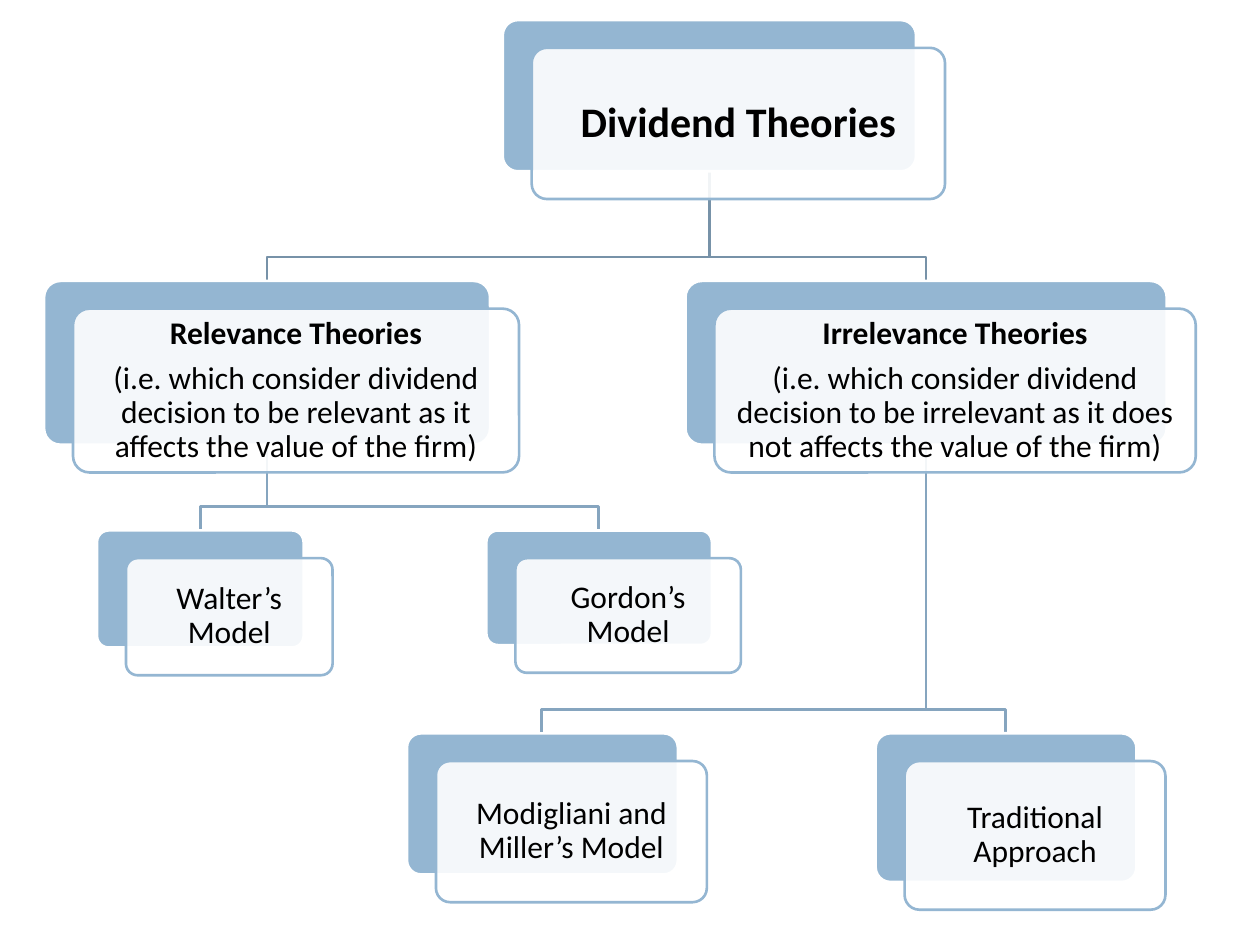
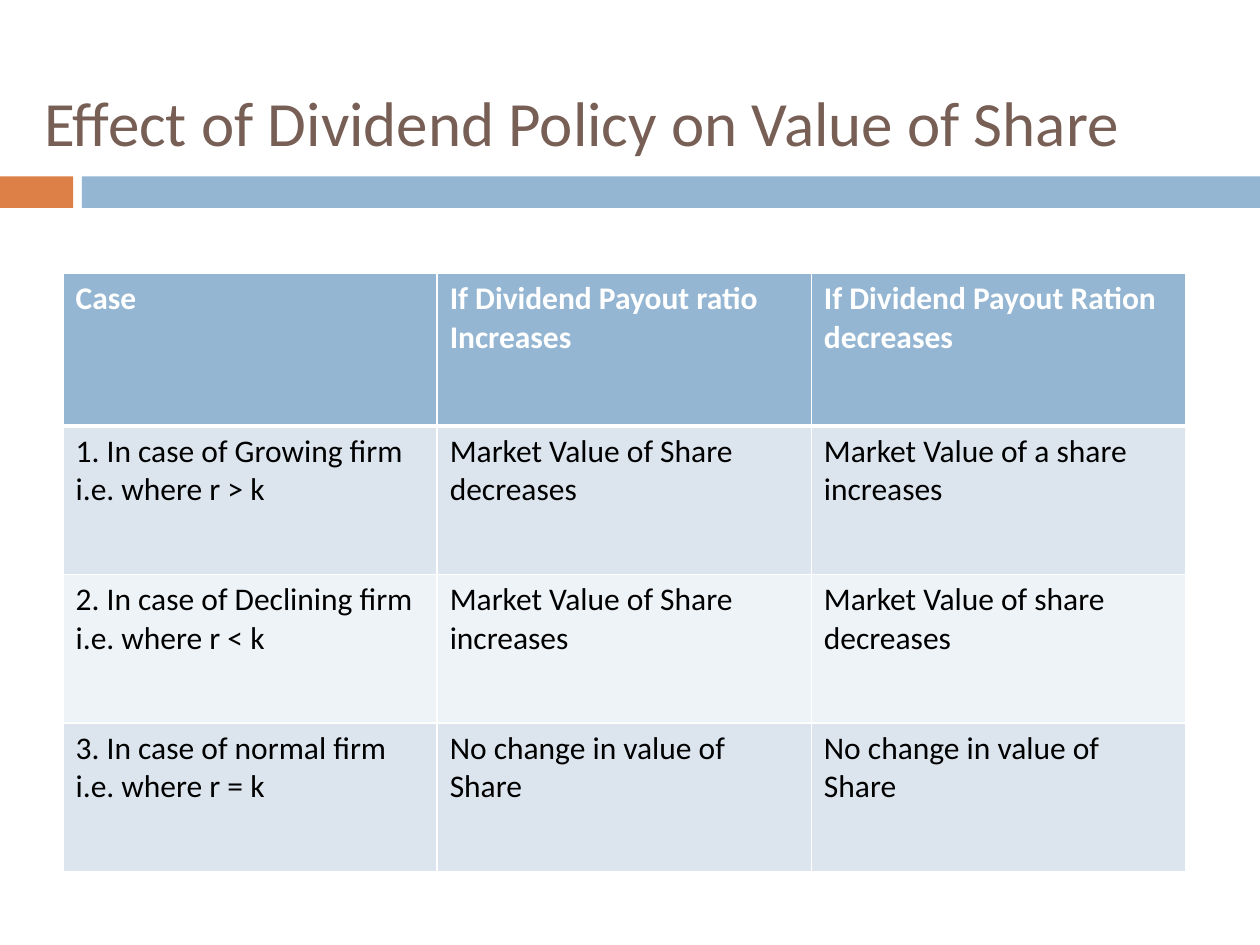
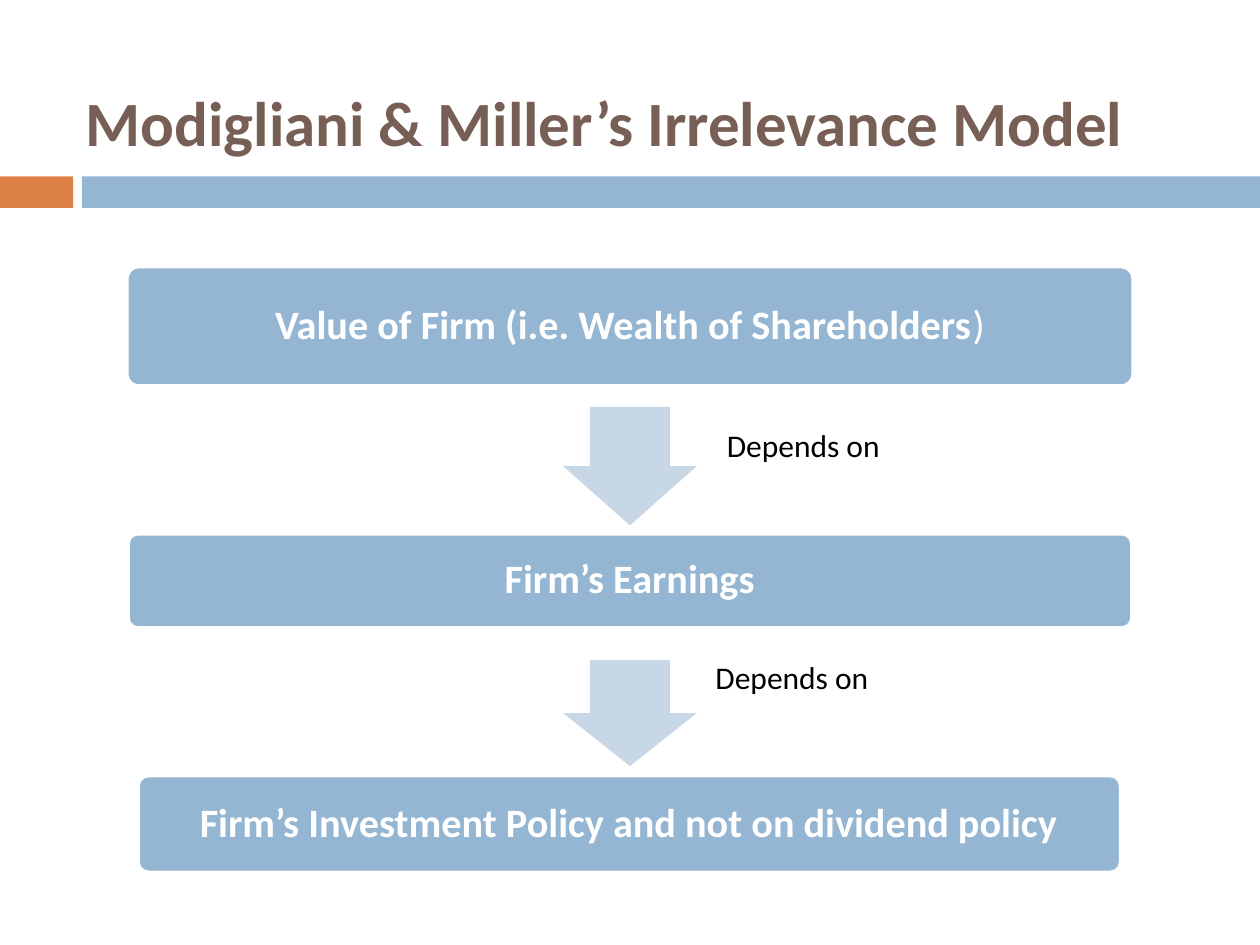
from dataclasses import dataclass

from lxml.etree import SubElement
from pptx import Presentation
from pptx.dml.color import RGBColor as Rgb
from pptx.enum.shapes import MSO_SHAPE as Shape
from pptx.enum.text import MSO_ANCHOR as Anchor, MSO_AUTO_SIZE as AutoSize, PP_ALIGN as Align
from pptx.oxml.ns import qn
from pptx.util import Pt

PX = 9144  # EMU per px, 100 px to the inch


@dataclass(frozen=True)
class Theme:
    font: str = "Calibri"
    black: str = "000000"
    white: str = "FFFFFF"
    blue: str = "94B6D2"
    orange: str = "DD8047"
    brown: str = "775F55"
    arrow: str = "C8D7E5"
    branch: str = "7792A8"
    twig: str = "86A5BF"
    odd_row: str = "DCE5EE"
    even_row: str = "EEF3F7"
    title: int = 36
    root: int = 24
    step: int = 23
    body: int = 18
    outline: float = 1.5


def apply(target, values):
    for name, value in values.items():
        setattr(target, name, value)


def emu(*lengths):
    return [length * PX for length in lengths]


class SlideBuilder:
    def __init__(self, deck, theme):
        self.deck, self.theme, self.page = deck, theme, None

    def new_page(self, layout):
        self.page = self.deck.slides.add_slide(self.deck.slide_layouts[layout])

    def titled_page(self, title, at, bold=False):
        """Start a page with the title over the two-colour band."""
        self.new_page(5)
        self.shape(Shape.RECTANGLE, (0, 140, 58, 25), self.theme.orange)
        self.shape(Shape.RECTANGLE, (65, 140, 935, 25), self.theme.blue)
        holder = self.page.shapes.title
        apply(holder, dict(zip(("left", "top", "width", "height"), emu(*at))))
        self.fill_text(holder.text_frame, [[(title, bold)]], self.theme.title, self.theme.brown)

    def fill_text(self, frame, paragraphs, size, color, align=Align.LEFT,
                  anchor=Anchor.MIDDLE, inset=None, spacing=None):
        """Fill a text frame; each paragraph is a list of (text, bold) spans."""
        apply(frame, {"word_wrap": True, "auto_size": AutoSize.NONE,
                      "vertical_anchor": anchor})
        if inset is not None:
            sides = ("margin_left", "margin_top", "margin_right", "margin_bottom")
            apply(frame, dict.fromkeys(sides, inset * PX))
        for index, spans in enumerate(paragraphs):
            para = frame.add_paragraph() if index else frame.paragraphs[0]
            para.alignment = align
            if spacing:
                apply(para, {"line_spacing": spacing, "space_after": Pt(size * 0.35)})
            for text, bold in spans:
                span = para.add_run()
                span.text = text
                self.style(span.font, size, color, bold)

    def style(self, font, size, color, bold):
        apply(font, {"name": self.theme.font, "size": Pt(size), "bold": bold})
        font.color.rgb = Rgb.from_string(color)

    def outline(self, shape, color):
        shape.line.color.rgb = Rgb.from_string(color)
        shape.line.width = Pt(self.theme.outline)

    def shape(self, kind, at, fill, line=None, adjustments=(), opacity=None):
        box = self.page.shapes.add_shape(kind, *emu(*at))
        box.shadow.inherit = False
        for index, value in enumerate(adjustments):
            box.adjustments[index] = value
        box.fill.solid()
        box.fill.fore_color.rgb = Rgb.from_string(fill)
        if opacity:
            color = box.element.spPr.find(qn("a:solidFill"))[0]
            SubElement(color, qn("a:alpha"), val=str(opacity * 1000))
        if line:
            self.outline(box, line)
        else:
            box.line.fill.background()
        return box

    def rounded(self, at, fill, line, opacity=None):
        return self.shape(Shape.ROUNDED_RECTANGLE, at, fill, line, (0.1,), opacity)

    def card(self, at, paragraphs, size, inset):
        """Draw a blue card with a translucent text card shifted over it."""
        left, top, width, height = at
        self.rounded(at, self.theme.blue, self.theme.white)
        front = self.rounded((left + 23, top + 22, width, height),
                             self.theme.white, self.theme.blue, opacity=90)
        self.fill_text(front.text_frame, paragraphs, size, self.theme.black,
                       Align.CENTER, inset=inset, spacing=0.9)

    def branch(self, parent, child, color):
        """Join the foot of a parent card to the top of a child card."""
        start, foot = parent[0] + parent[2] // 2, parent[1] + parent[3]
        end, top = child[0] + child[2] // 2, child[1]
        route = self.page.shapes.build_freeform(start, foot, scale=PX)
        route.add_line_segments([(start, top - 19), (end, top - 19), (end, top)], close=False)
        elbow = route.convert_to_shape()
        elbow.shadow.inherit = False
        elbow.fill.background()
        self.outline(elbow, color)

    def step(self, at, spans):
        box = self.rounded(at, self.theme.blue, self.theme.white)
        self.fill_text(box.text_frame, [spans], self.theme.step, self.theme.white,
                       Align.CENTER, inset=10, spacing=0.9)

    def label(self, at, text):
        box = self.page.shapes.add_textbox(*emu(*at))
        self.fill_text(box.text_frame, [[(text, False)]], self.theme.body,
                       self.theme.black, anchor=Anchor.TOP)

    def border(self, cell, widths):
        for side, width in widths.items():
            line = SubElement(cell._tc.get_or_add_tcPr(), qn(f"a:ln{side}"),
                              w=str(Pt(width)))
            fill = SubElement(line, qn("a:solidFill"))
            SubElement(fill, qn("a:srgbClr"), val=self.theme.white)

    def table(self, left, top, column_width, row_heights, rows):
        theme = self.theme
        size = (column_width * len(rows[0]), sum(row_heights))
        grid = self.page.shapes.add_table(len(rows), len(rows[0]),
                                          *emu(left, top, *size)).table
        for column in grid.columns:
            column.width = column_width * PX
        for r, texts in enumerate(rows):
            grid.rows[r].height = row_heights[r] * PX
            header = r == 0
            fill = theme.blue if header else (theme.even_row, theme.odd_row)[r % 2]
            for c, text in enumerate(texts):
                cell = grid.cell(r, c)
                cell.text = text
                self.style(cell.text_frame.paragraphs[0].runs[0].font, theme.body,
                           theme.white if header else theme.black, header)
                self.border(cell, {"L": 1, "R": 1, "T": 3 if r == 1 else 1,
                                   "B": 3 if header else 1})
                cell.fill.solid()
                cell.fill.fore_color.rgb = Rgb.from_string(fill)


def theory_tree(builder):
    theme = builder.theme
    cards = {
        "root": (399, 16, 328, 120),
        "relevance": (35, 223, 354, 130),
        "walter": (77, 421, 164, 93),
        "gordon": (386, 421, 179, 91),
        "irrelevance": (544, 223, 382, 130),
        "miller": (323, 582, 215, 112),
        "traditional": (695, 582, 207, 118),
    }
    texts = {
        "root": [[("Dividend Theories", True)]],
        "relevance": [[("Relevance Theories", True)],
                      [("(i.e. which consider dividend decision to be relevant "
                        "as it affects the value of the firm)", False)]],
        "walter": [[("Walter’s Model", False)]],
        "gordon": [[("Gordon’s Model", False)]],
        "irrelevance": [[("Irrelevance Theories", True)],
                        [("(i.e. which consider dividend decision to be irrelevant "
                          "as it does not affects the value of the firm)", False)]],
        "miller": [[("Modigliani and Miller’s Model", False)]],
        "traditional": [[("Traditional Approach", False)]],
    }
    children = {
        "irrelevance": ("traditional", "miller"),
        "relevance": ("gordon", "walter"),
        "root": ("irrelevance", "relevance"),
    }
    builder.new_page(6)
    # Branches lie behind the cards
    for parent, names in children.items():
        color = theme.branch if parent == "root" else theme.twig
        for name in names:
            builder.branch(cards[parent], cards[name], color)
    for name, at in cards.items():
        size, inset = (theme.root, 10) if name == "root" else (theme.body, 7)
        builder.card(at, texts[name], size, inset)


def payout_table(builder):
    builder.titled_page("Effect of Dividend Policy on Value of Share", (25, 42, 950, 108))
    builder.table(50, 217, 297, [121, 118, 118, 118], [
        ("Case", "If Dividend Payout ratio Increases", "If Dividend Payout Ration decreases"),
        ("1. In case of Growing firm i.e. where r > k",
         "Market Value of Share decreases", "Market Value of a share increases"),
        ("2. In case of Declining firm i.e. where r < k",
         "Market Value of Share increases", "Market Value of share decreases"),
        ("3. In case of normal firm i.e. where r = k",
         "No change in value of Share", "No change in value of Share"),
    ])


def irrelevance_chain(builder):
    builder.titled_page("Modigliani & Miller’s Irrelevance Model", (58, 50, 858, 92), bold=True)
    # Steps from the firm's value down to its cause
    builder.step((101, 212, 798, 94),
                 [("Value of Firm (i.e. Wealth of Shareholders", True), (")", False)])
    builder.step((102, 424, 796, 74), [("Firm’s Earnings", True)])
    builder.step((110, 616, 779, 76),
                 [("Firm’s Investment Policy and not on dividend policy", True)])
    # Arrows and their labels
    for top, height, label_left, label_top in ((323, 94, 567, 333), (524, 84, 558, 517)):
        builder.shape(Shape.DOWN_ARROW, (447, top, 106, height),
                      builder.theme.arrow, adjustments=(0.6, 0.5))
        builder.label((label_left, label_top, 258, 40), "Depends on")


def main():
    deck = Presentation()
    deck.slide_width, deck.slide_height = emu(1000, 750)
    builder = SlideBuilder(deck, Theme())
    theory_tree(builder)
    payout_table(builder)
    irrelevance_chain(builder)
    deck.save("out.pptx")


if __name__ == "__main__":
    main()
